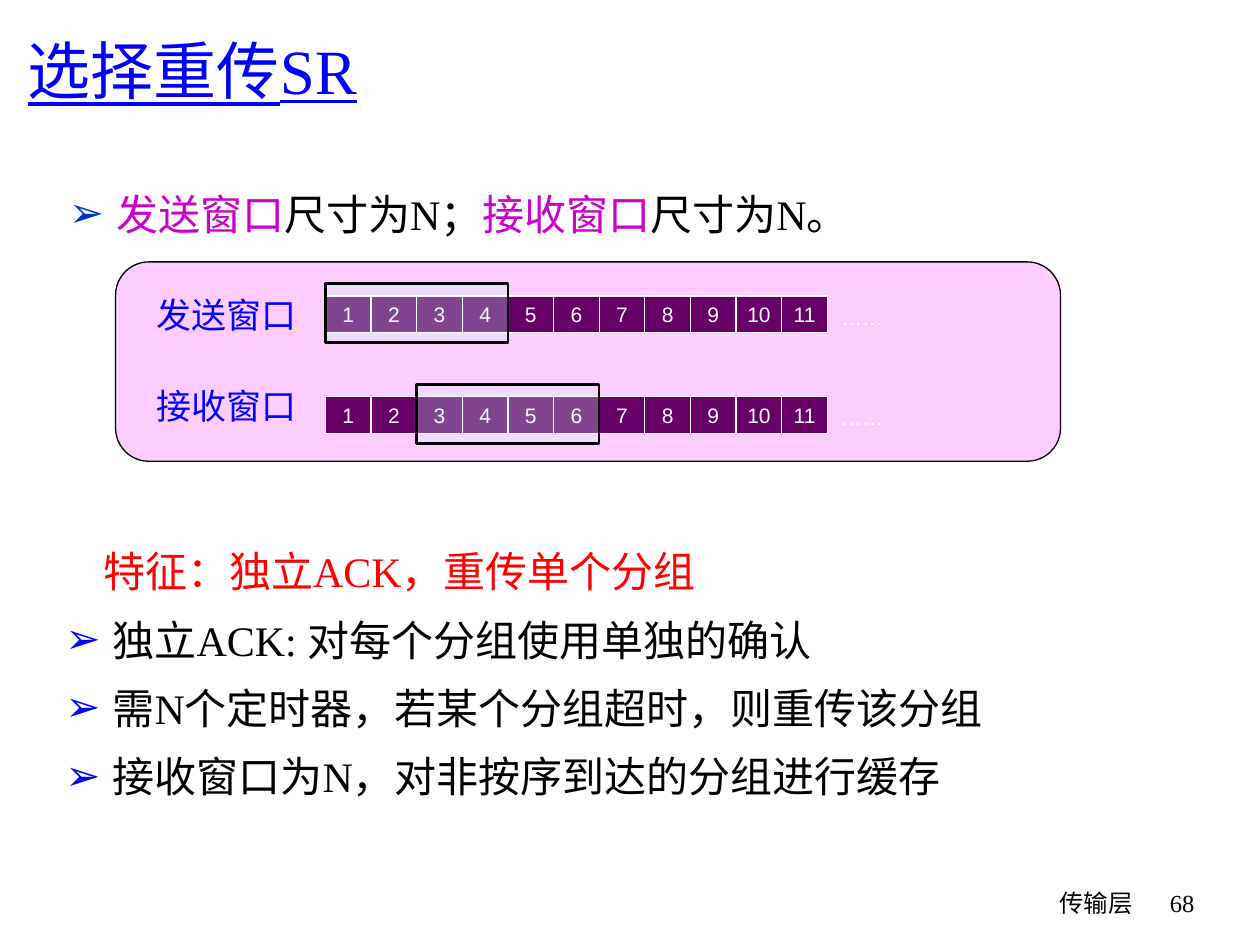
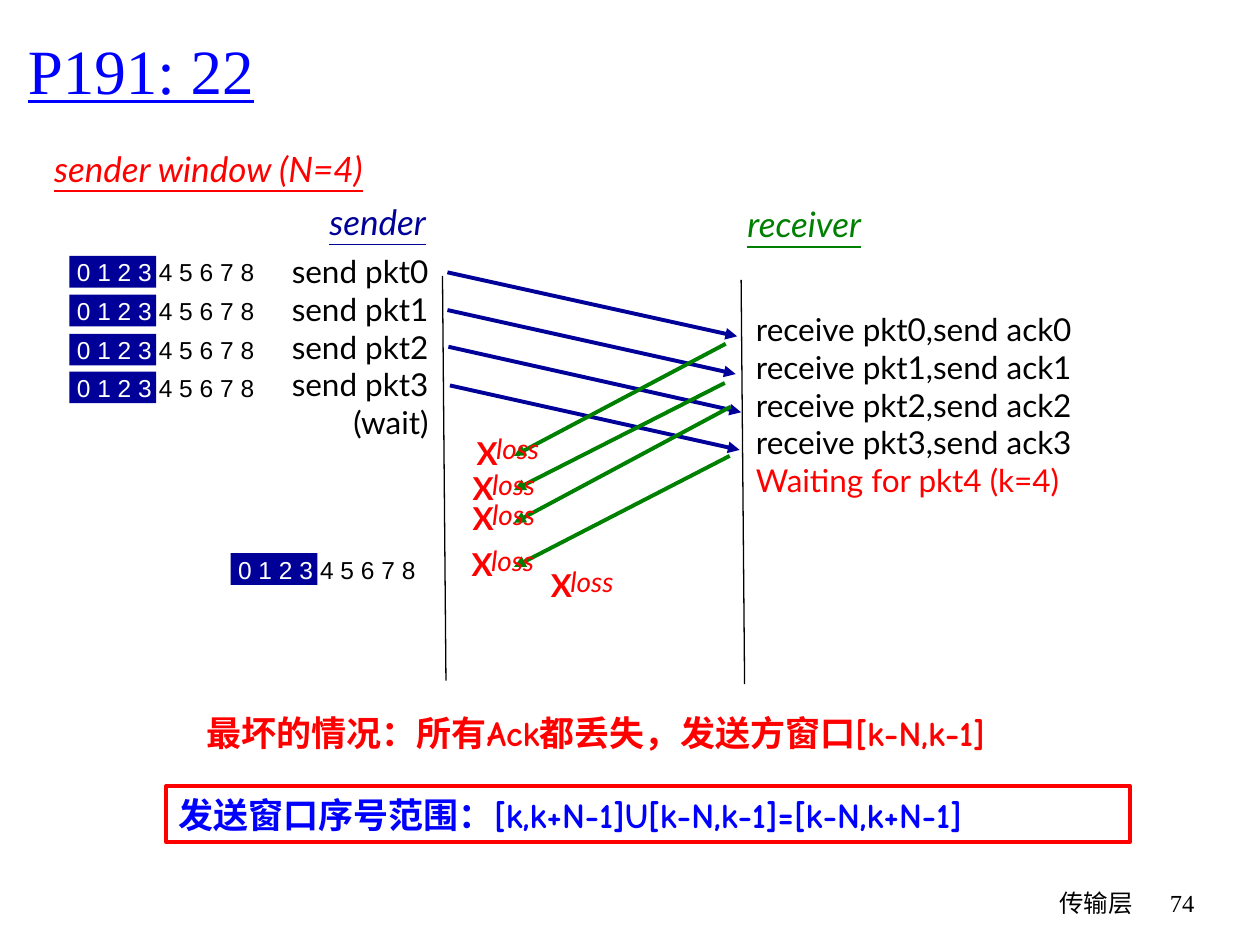
import pptx
import pptx.util
import pptx.dml.color
import pptx.enum.shapes
import pptx.enum.text
import pptx.oxml.ns
from lxml import etree

Cm, Pt = pptx.util.Cm, pptx.util.Pt
KIND = pptx.enum.shapes.MSO_SHAPE
ALIGN = pptx.enum.text.PP_ALIGN
ANCHOR = pptx.enum.text.MSO_ANCHOR
qn = pptx.oxml.ns.qn

HUES = {
    "blue": "0000FF", "arrow": "0033CC", "navy": "000099", "red": "FF0000",
    "green": "008000", "pink": "FFCCFF", "plum": "660066", "magenta": "CC00CC",
    "glass": "CCFFFF", "black": "000000", "white": "FFFFFF",
}
SERIF, SANS, HAND, PLAIN, HAN = "Times New Roman", "Lato", "Comic Neue", "Arial", "Noto Sans CJK SC"

INTRO = [("arrow", [("发送窗口", "magenta"), ("尺寸为N；", "black"),
                    ("接收窗口", "magenta"), ("尺寸为N。", "black")])]
TRAITS = [
    (None, [("特征：独立ACK，重传单个分组", "red")]),
    ("blue", [("独立ACK: 对每个分组使用单独的确认", "black")]),
    ("blue", [("需N个定时器，若某个分组超时，则重传该分组", "black")]),
    ("blue", [("接收窗口为N，对非按序到达的分组进行缓存", "black")]),
]
ROWS = [("发送窗口", 5.79, 5.97, 0), ("接收窗口", 7.62, 8.0, 2)]
CELLS, SPAN, STEP, LEFT = 11, 4, 0.92, 6.56

HEADS = [
    ("sender window (N=4)", "red", (0.51, 2.84, 7.39, 1.12)),
    ("sender", "navy", (6.32, 3.91, 2.59, 1.09)),
    ("receiver", "green", (14.73, 3.96, 2.97, 1.09)),
]
SENDS = [f"send pkt{n}" for n in range(4)] + ["(wait)"]
GETS = [f"receive pkt{n},send ack{n}" for n in range(4)]
WAIT = "Waiting for pkt4 (k=4)"
TIMES = [(8.92, 5.56, 8.99, 13.72), (14.94, 5.64, 15.01, 13.79)]
PACKETS = [(9.02, 5.49, 14.86, 6.78), (9.02, 6.25, 14.83, 7.54),
           (9.04, 6.99, 14.94, 8.31), (9.07, 7.77, 14.91, 9.07)]
ACKS = [(14.63, 6.93, 10.36, 9.19), (14.61, 7.72, 10.36, 9.88),
        (14.73, 8.2, 10.36, 10.54), (14.71, 9.19, 10.36, 11.43)]
STRIPS = [(1.4, 5.16), (1.4, 5.94), (1.4, 6.73), (1.4, 7.49), (4.65, 11.15)]
LOSSES = [(9.35, 8.61), (9.27, 9.32), (9.27, 9.93), (9.25, 10.85), (10.85, 11.28)]
WORST = "最坏的情况：所有Ack都丢失，发送方窗口[k-N,k-1]"
RANGE = "发送窗口序号范围：[k,k+N-1]U[k-N,k-1]=[k-N,k+N-1]"


def hue(name):
    return pptx.dml.color.RGBColor.from_string(HUES[name])


def add_run(para, text, font, size, tint, bold=False, slant=False, under=False):
    run = para.add_run()
    run.text = text
    look = run.font
    look.size, look.bold, look.italic, look.underline = Pt(size), bold, slant, under
    look.color.rgb = hue(tint)
    look.name = font
    etree.SubElement(run._r.get_or_add_rPr(), qn("a:ea")).set("typeface", HAN)


def set_frame(frame, side=0.25, top=0.13, base=0.13, anchor=ANCHOR.TOP):
    frame.word_wrap = True
    frame.auto_size = pptx.enum.text.MSO_AUTO_SIZE.NONE
    frame.margin_left = frame.margin_right = Cm(side)
    frame.margin_top, frame.margin_bottom = Cm(top), Cm(base)
    frame.vertical_anchor = anchor


def place(shape, area):
    shape.left, shape.top, shape.width, shape.height = map(Cm, area)


def write(frame, lines, align, font, size, **style):
    for spot, (text, tint) in enumerate(lines):
        para = frame.paragraphs[0] if spot == 0 else frame.add_paragraph()
        para.alignment = align
        add_run(para, text, font, size, tint, **style)


def add_text(slide, area, lines, font, size, align=ALIGN.LEFT, **style):
    box = slide.shapes.add_textbox(*map(Cm, area))
    set_frame(box.text_frame, 0 if align == ALIGN.CENTER else 0.25)
    write(box.text_frame, lines, align, font, size, **style)
    return box


def add_box(slide, area, fill=None, edge=None, width=0.75, kind=KIND.RECTANGLE):
    box = slide.shapes.add_shape(kind, *map(Cm, area))
    box.shadow.inherit = False
    if fill:
        box.fill.solid()
        box.fill.fore_color.rgb = hue(fill)
    else:
        box.fill.background()
    if edge:
        box.line.color.rgb = hue(edge)
        box.line.width = Pt(width)
    else:
        box.line.fill.background()
    return box


def add_line(slide, ends, tint, width, tip=False):
    line = slide.shapes.add_connector(pptx.enum.shapes.MSO_CONNECTOR.STRAIGHT, *map(Cm, ends))
    line.line.color.rgb = hue(tint)
    line.line.width = Pt(width)
    props = line.element.spPr
    if tip:
        etree.SubElement(props.find(qn("a:ln")), qn("a:tailEnd")).set("type", "triangle")
    etree.SubElement(props, qn("a:effectLst"))


def fill_list(holder, area, items):
    place(holder, area)
    frame = holder.text_frame
    set_frame(frame, top=0.23)
    for spot, (mark, runs) in enumerate(items):
        para = frame.paragraphs[0] if spot == 0 else frame.add_paragraph()
        props = para._p.get_or_add_pPr()
        props.set("marL", str(Cm(0.95 if mark else 0.76)))
        props.set("indent", str(-Cm(0.95) if mark else 0))
        if mark:
            shade = etree.SubElement(props, qn("a:buClr"))
            etree.SubElement(shade, qn("a:srgbClr")).set("val", HUES[mark])
            etree.SubElement(props, qn("a:buChar")).set("char", "➢")
        else:
            etree.SubElement(props, qn("a:buNone"))
        para.alignment = ALIGN.LEFT
        para.line_spacing = Pt(34)
        para.space_before = Pt(5 if spot else 0)
        for text, tint in runs:
            add_run(para, text, SERIF, 24, tint)


def start(deck, layout, title, page):
    slide = deck.slides.add_slide(deck.slide_layouts[layout])
    head = slide.shapes.title
    place(head, (0, 0.18, 23.9, 2.08))
    set_frame(head.text_frame, side=0.56, base=0.1, anchor=ANCHOR.BOTTOM)
    write(head.text_frame, [(title, "blue")], ALIGN.LEFT, SERIF, 36, under=True)
    add_text(slide, (15.04, 17.78, 8.05, 1.27), [("传输层", "black")], HAND, 14, ALIGN.RIGHT)
    add_text(slide, (23.06, 17.78, 1.27, 1.27), [(page, "black")], SERIF, 14, ALIGN.RIGHT)
    return slide


def add_row(slide, label, high, top, first):
    add_text(slide, (2.9, high, 3.33, 1.09), [(label, "blue")], HAND, 20, ALIGN.CENTER)
    for spot in range(CELLS):
        cell = add_box(slide, (LEFT + spot * STEP, top, STEP, 0.74), "plum", "white")
        set_frame(cell.text_frame, 0, 0, 0, ANCHOR.MIDDLE)
        write(cell.text_frame, [(str(spot + 1), "white")], ALIGN.CENTER, PLAIN, 12)
    add_text(slide, (LEFT + CELLS * STEP, top + 0.03, 1.4, 0.76),
             [("……", "white")], PLAIN, 12, ALIGN.CENTER)
    pane = add_box(slide, (LEFT + first * STEP, top - 0.25, SPAN * STEP, 1.19),
                   "glass", "black", 1.5)
    shade = pane.element.spPr.find(qn("a:solidFill"))[0]
    etree.SubElement(shade, qn("a:alpha")).set("val", "27000")


def build_repeat(deck):
    slide = start(deck, 3, "选择重传SR", "68")
    fill_list(slide.placeholders[1], (1.14, 3.38, 21.95, 1.63), INTRO)
    fill_list(slide.placeholders[2], (1.07, 10.59, 23.7, 6.15), TRAITS)
    add_box(slide, (2.33, 5.28, 19.05, 4.02), "pink", "black", kind=KIND.ROUNDED_RECTANGLE)
    for row in ROWS:
        add_row(slide, *row)


def build_task(deck):
    slide = start(deck, 5, "P191: 22", "74")
    for text, tint, area in HEADS:
        add_text(slide, area, [(text, tint)], SANS, 20, ALIGN.CENTER, slant=True, under=True)
    add_text(slide, (5.44, 4.95, 3.45, 4.06), [(text, "black") for text in SENDS],
             SANS, 18, ALIGN.RIGHT)
    add_text(slide, (14.99, 6.12, 7.14, 4.88),
             [(text, "black") for text in GETS] + [(WAIT, "red")], SANS, 18)
    for ends in TIMES:
        add_line(slide, ends, "black", 0.75)
    for group, tint in ((PACKETS, "navy"), (ACKS, "green")):
        for ends in group:
            add_line(slide, ends, tint, 2.25, True)
    for left, top in STRIPS:
        add_box(slide, (left, top, 1.75, 0.64), "navy")
        strip = add_text(slide, (left - 0.1, top - 0.1, 4.19, 0.84),
                         [("0 1 2 3 ", "white")], PLAIN, 14)
        add_run(strip.text_frame.paragraphs[0], "4 5 6 7 8", PLAIN, 14, "black")
    for left, top in LOSSES:
        add_text(slide, (left + 0.36, top - 0.03, 1.45, 0.94), [("loss", "red")],
                 SANS, 16, ALIGN.CENTER, slant=True)
        add_text(slide, (left, top, 0.94, 1.02), [("X", "red")],
                 SANS, 18, ALIGN.CENTER, bold=True)
    add_text(slide, (3.91, 14.22, 17.48, 1.12), [(WORST, "red")], HAND, 20, bold=True)
    frame = add_box(slide, (3.35, 15.85, 19.43, 1.12), None, "red", 2.5).text_frame
    set_frame(frame, top=0, base=0, anchor=ANCHOR.MIDDLE)
    write(frame, [(RANGE, "blue")], ALIGN.LEFT, HAND, 20, bold=True)


def main():
    deck = pptx.Presentation()
    deck.slide_width, deck.slide_height = Cm(25.4), Cm(19.05)
    build_repeat(deck)
    build_task(deck)
    deck.save("out.pptx")


if __name__ == "__main__":
    main()
